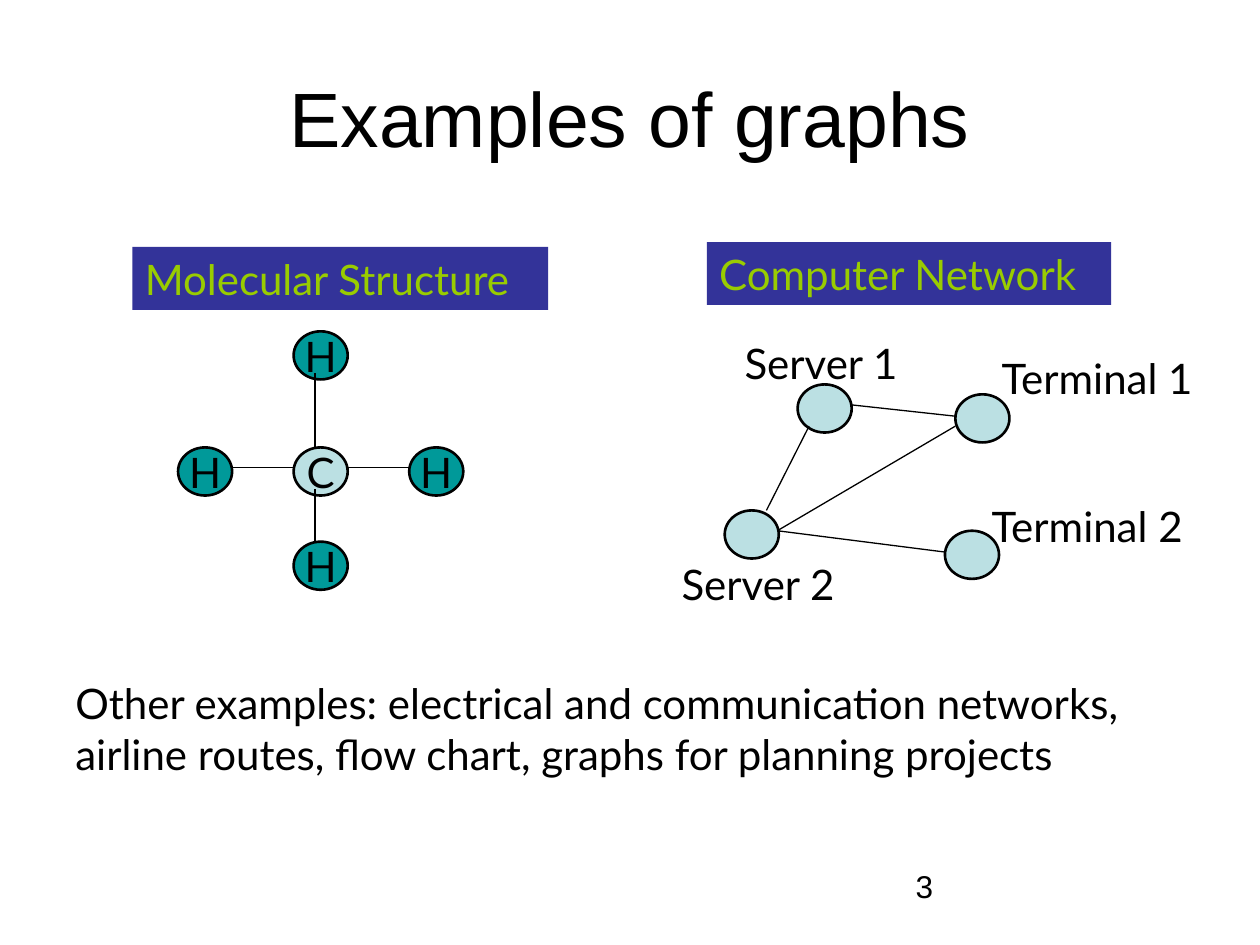
from lxml.etree import SubElement
from pptx import Presentation
from pptx.dml.color import RGBColor
from pptx.enum.shapes import MSO_CONNECTOR, MSO_SHAPE
from pptx.enum.text import MSO_ANCHOR as Anchor, PP_ALIGN as Align
from pptx.oxml.ns import qn
from pptx.util import Cm, Pt

BLACK = RGBColor(0x00, 0x00, 0x00)
TEAL = RGBColor(0x00, 0x99, 0x99)
PALE_BLUE = RGBColor(0xBB, 0xE0, 0xE3)
NAVY = RGBColor(0x33, 0x33, 0x99)
LIME = RGBColor(0x99, 0xCC, 0x00)

NODE_WIDTH, NODE_HEIGHT = 1.09, 0.97
LINE_HEIGHT = 1.27
BODY = {"name": "Lato", "size": Pt(24)}


def write(shape, text, color=BLACK, align=Align.LEFT, anchor=Anchor.TOP, wrap=True, font=BODY):
    """Put one formatted paragraph into a shape."""
    frame = shape.text_frame
    frame.text = text
    frame.word_wrap = wrap
    frame.vertical_anchor = anchor
    para = frame.paragraphs[0]
    para.alignment = align
    for name, value in font.items():
        setattr(para.font, name, value)
    para.font.color.rgb = color


def add_label(page, left, top, width, height, text, **style):
    """Add a plain text box."""
    box = page.shapes.add_textbox(Cm(left), Cm(top), Cm(width), Cm(height))
    write(box, text, **style)


def add_filled(page, kind, left, top, width, height, fill):
    """Add a preset shape with a flat fill and no shadow."""
    shape = page.shapes.add_shape(kind, Cm(left), Cm(top), Cm(width), Cm(height))
    shape.shadow.inherit = False
    shape.fill.solid()
    shape.fill.fore_color.rgb = fill
    return shape


def add_banner(page, left, top, width, text):
    """Add the coloured heading of a region."""
    banner = add_filled(page, MSO_SHAPE.RECTANGLE, left, top, width, LINE_HEIGHT, NAVY)
    banner.line.fill.background()
    write(banner, text, color=LIME)


def add_node(page, left, top, fill, text=""):
    """Add a graph node, with an optional letter in it."""
    node = add_filled(page, MSO_SHAPE.OVAL, left, top, NODE_WIDTH, NODE_HEIGHT, fill)
    node.line.color.rgb = BLACK
    node.line.width = Pt(1.5)
    if text:
        write(node, text, align=Align.CENTER, anchor=Anchor.MIDDLE, wrap=False)


def add_edges(page, left, top, edges):
    """Draw thin straight edges given relative to a region."""
    for x1, y1, x2, y2 in edges:
        edge = page.shapes.add_connector(
            MSO_CONNECTOR.STRAIGHT, Cm(left + x1), Cm(top + y1), Cm(left + x2), Cm(top + y2))
        edge.line.color.rgb = BLACK
        edge.line.width = Pt(0.75)
        SubElement(edge.line._get_or_add_ln().getparent(), qn("a:effectLst"))


def add_molecule(page, left, top):
    """Draw the methane molecule under its banner."""
    middle_x, middle_y, step = 3.25, 4.04, 2.33
    atoms = [
        ("H", middle_x, 5.94, TEAL),
        ("H", middle_x, 1.7, TEAL),
        ("C", middle_x, middle_y, PALE_BLUE),
        ("H", middle_x + step, middle_y, TEAL),
        ("H", middle_x - step, middle_y, TEAL),
    ]
    for symbol, x, y, fill in atoms:
        add_node(page, left + x, top + y, fill, symbol)
    bonds = [
        (3.68, 4.04, 3.68, 2.54),
        (4.32, 4.45, 5.59, 4.45),
        (3.68, 5.94, 3.68, 4.88),
        (1.98, 4.45, 3.25, 4.45),
    ]
    add_edges(page, left, top, bonds)
    add_banner(page, left, top, 8.38, "Molecular Structure")


def add_network(page, left, top):
    """Draw the computer network under its banner."""
    machines = [
        ("Server 1", 2.59, 2.87, 1.27, 1.8, 3.76),
        ("Server 2", 1.12, 5.41, 0, 6.25, 3.76),
        ("Terminal 1", 5.77, 3.07, 6.45, 2.11, 4.72),
        ("Terminal 2", 5.56, 5.82, 6.25, 5.08, 4.72),
    ]
    for _, x, y, *_ in machines:
        add_node(page, left + x, top + y, PALE_BLUE)
    for name, _, _, x, y, width in machines:
        add_label(page, left + x, top + y, width, LINE_HEIGHT, name)
    links = [
        (5.77, 3.51, 3.66, 3.28),
        (5.56, 6.25, 2.18, 5.82),
        (5.77, 3.71, 2.18, 5.82),
        (2.82, 3.71, 1.96, 5.41),
    ]
    add_edges(page, left, top, links)
    add_banner(page, left + 0.76, top, 8.15, "Computer Network")


def add_title(page, left, top, width, height):
    """Place and format the title placeholder."""
    title = page.shapes.title
    title.left, title.top, title.width, title.height = map(Cm, (left, top, width, height))
    write(title, "Examples of graphs", align=Align.CENTER, anchor=Anchor.MIDDLE,
          font={"name": "Arial", "size": Pt(44)})


def main():
    """Build and save the slide."""
    deck = Presentation()
    deck.slide_width, deck.slide_height = Cm(25.4), Cm(19.05)
    page = deck.slides.add_slide(deck.slide_layouts[5])
    add_title(page, 1.27, 0.76, 22.86, 3.18)
    add_molecule(page, 2.67, 4.98)
    add_network(page, 13.49, 4.88)
    add_label(page, 1.27, 13.54, 23.29, 3.3,
              "Other examples: electrical and communication networks, "
              "airline routes, flow chart, graphs for planning projects")
    add_label(page, 18.21, 17.35, 5.92, 1.32, "3", font={"name": "Arial", "size": Pt(18)})
    deck.save("out.pptx")


if __name__ == "__main__":
    main()
